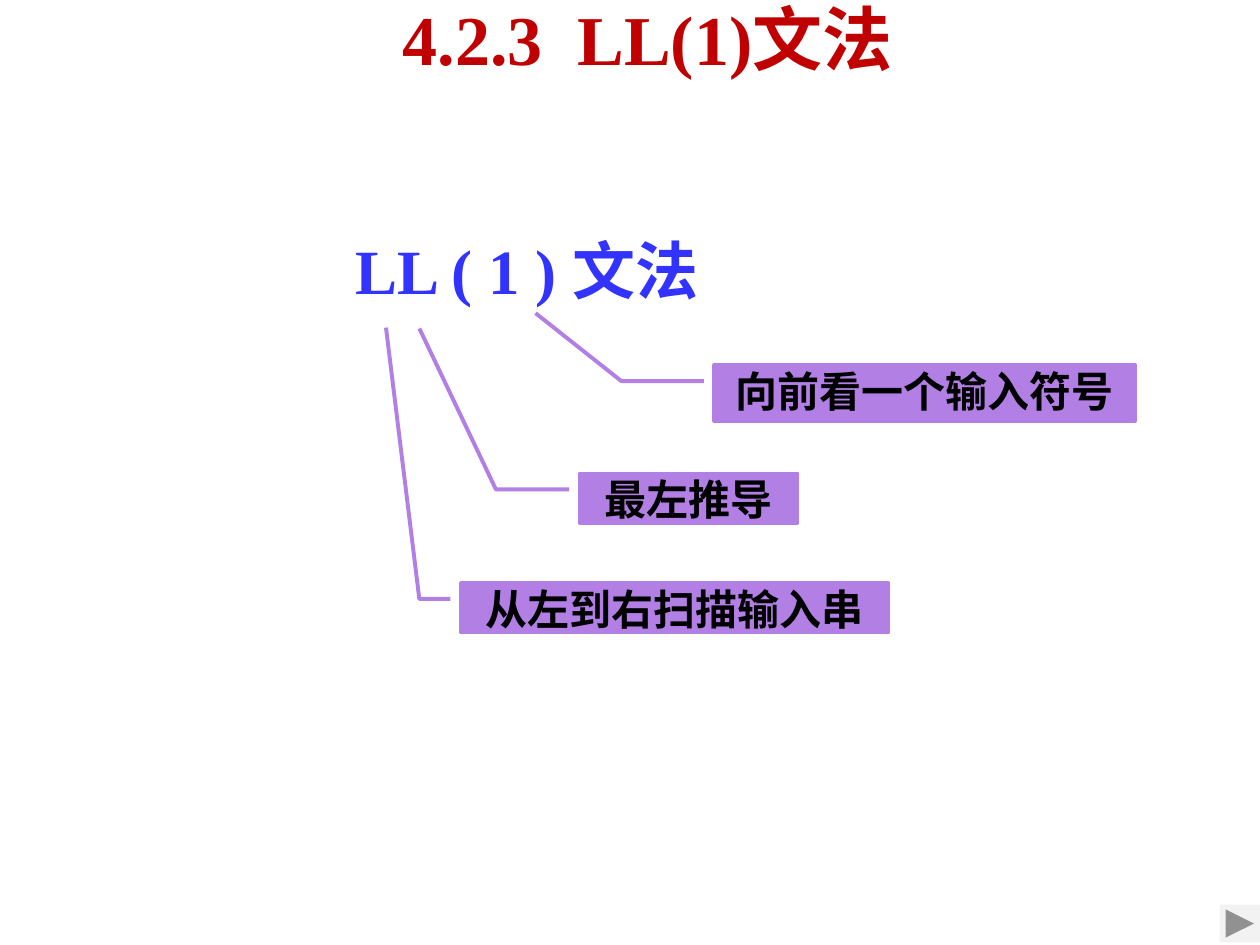
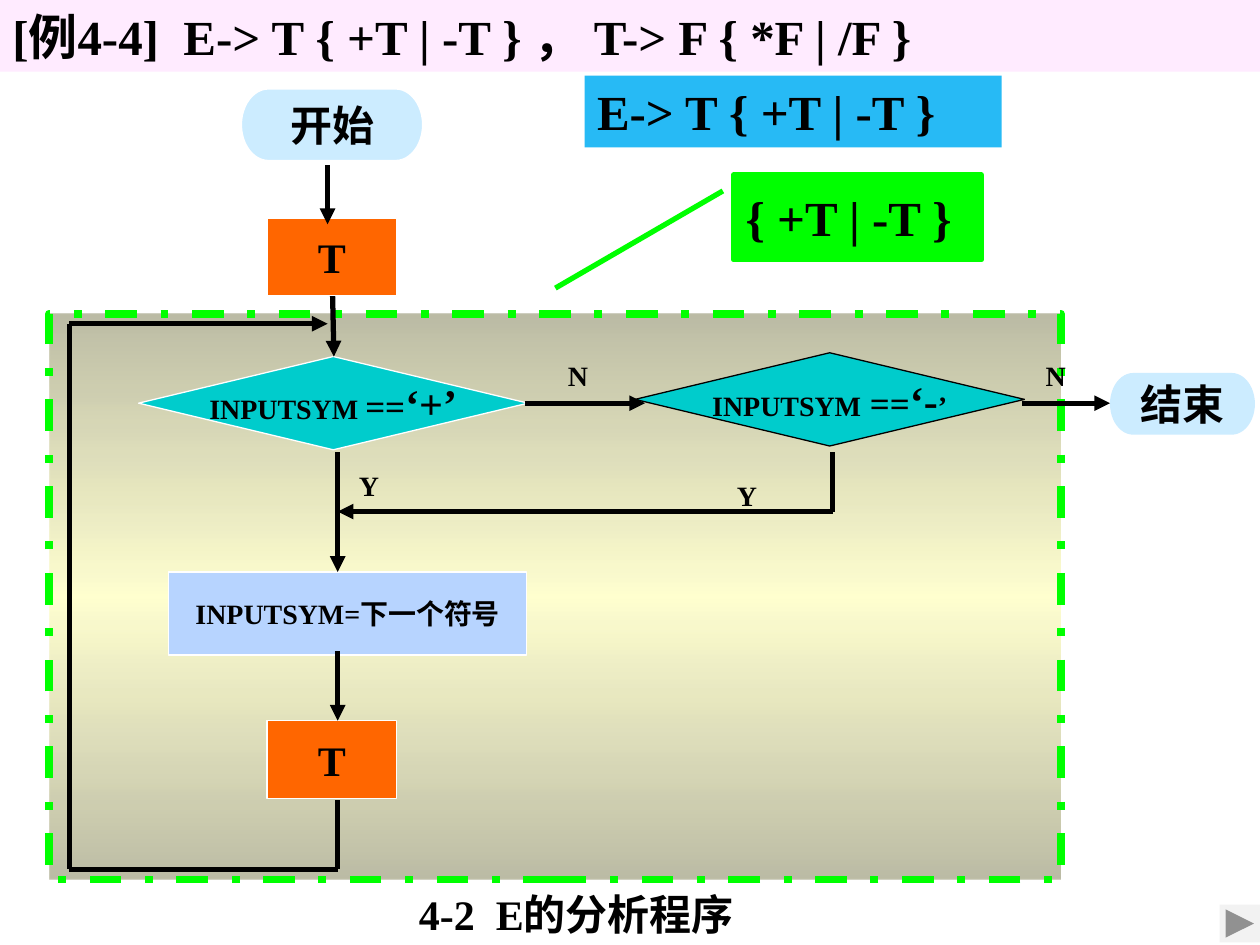
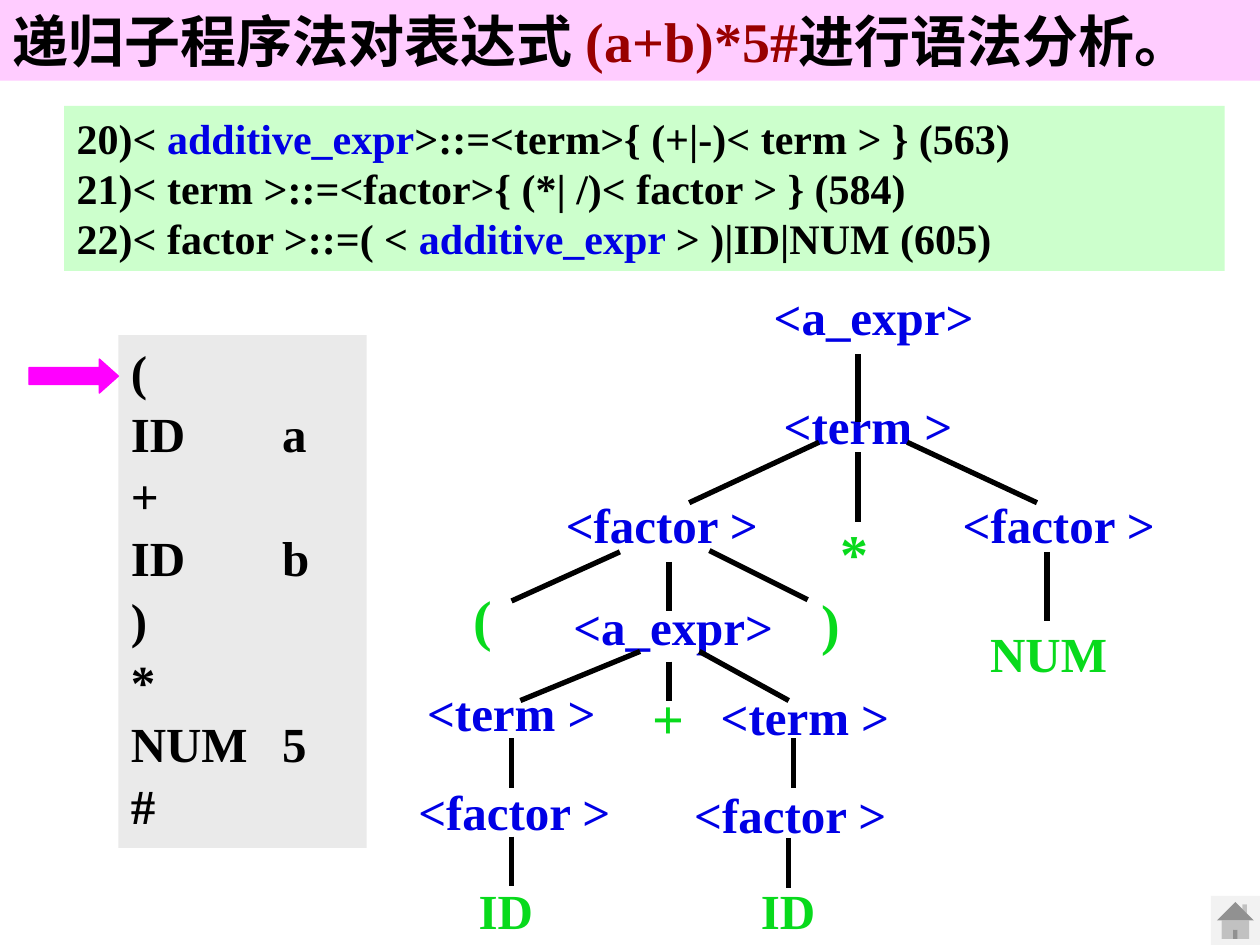
"""Build three slides on LL(1) grammars and recursive descent parsing."""
import lxml.etree
import pptx
import pptx.dml.color
import pptx.enum.dml
import pptx.enum.shapes
import pptx.enum.text
import pptx.oxml.ns
import pptx.util

Inches = pptx.util.Inches
Pt = pptx.util.Pt
SHAPE = pptx.enum.shapes.MSO_SHAPE
ALIGN = pptx.enum.text.PP_ALIGN
ANCHOR = pptx.enum.text.MSO_ANCHOR
DASH = pptx.enum.dml.MSO_LINE
qn = pptx.oxml.ns.qn

LATIN = "Times New Roman"
HAN = "Noto Sans CJK SC"
COLORS = {
    "black": "000000", "white": "FFFFFF", "title": "C00000", "heading": "3333FF",
    "callout": "B27FE5", "button": "F2F2F2", "band": "FFEBFF", "strong band": "FFCCFF",
    "terminal": "CCECFF", "process": "FF6600", "decision": "00CCCC", "input": "B7D4FF",
    "rule": "27BAF5", "loop": "00FF00", "loop edge": "767647", "loop middle": "FFFF99",
    "expression": "990000", "symbol": "0000E5", "token": "08DA1C",
    "tokens": "EAEAEA", "rules": "CCFFCC", "pointer": "FF00FF",
}
FRAME = {"margin_left": Inches(0.1), "margin_right": Inches(0.1), "margin_top": Inches(0.05),
         "margin_bottom": Inches(0.05), "word_wrap": True, "vertical_anchor": ANCHOR.TOP}
TIGHT = {"margin_top": 0, "margin_bottom": 0}
MIDDLE = {"vertical_anchor": ANCHOR.MIDDLE, "word_wrap": False}
NO_MARGIN = {**MIDDLE, **TIGHT, "margin_left": 0, "margin_right": 0}
CENTER = {"alignment": ALIGN.CENTER}


def color(name):
    """Return the named colour as an RGB value."""
    return pptx.dml.color.RGBColor.from_string(COLORS[name])


def assign(target, values):
    """Set each attribute in values on target."""
    for name, value in values.items():
        setattr(target, name, value)


def add_span(para, text, size, ink, font):
    """Add one bold run with Latin and East Asian fonts."""
    span = para.add_run()
    span.text = text
    assign(span.font, {"size": Pt(size), "bold": True, "name": font})
    span.font.color.rgb = color(ink)
    lxml.etree.SubElement(span.font._element, qn("a:ea"), typeface=HAN)


def write(box, lines, size=24, ink="black", font=LATIN, frame=None, layout=None):
    """Fill a box with lines, each a string or a list of (text, overrides)."""
    assign(box.text_frame, {**FRAME, **(frame or {})})
    for index, line in enumerate(lines):
        para = box.text_frame.add_paragraph() if index else box.text_frame.paragraphs[0]
        assign(para, {"alignment": ALIGN.LEFT, **(layout or {})})
        spans = [(line, {})] if isinstance(line, str) else line
        for text, changes in spans:
            add_span(para, text, **{"size": size, "ink": ink, "font": font, **changes})


def add_text(page, place, lines, **style):
    """Add a text box."""
    box = page.shapes.add_textbox(*map(Inches, place))
    write(box, lines, **style)
    return box


def add_box(page, kind, place, fill, line=None, weight=0.75, adjust=(), lines=(), **style):
    """Add a flat preset shape with optional outline and text."""
    box = page.shapes.add_shape(kind, *map(Inches, place))
    box.shadow.inherit = False
    box.fill.solid()
    box.fill.fore_color.rgb = color(fill)
    if line:
        box.line.color.rgb = color(line)
        box.line.width = Pt(weight)
    else:
        box.line.fill.background()
    for index, value in enumerate(adjust):
        box.adjustments[index] = value
    write(box, lines, **style)
    return box


def add_line(page, x1, y1, x2, y2, arrow=False):
    """Add a black line, with an arrowhead at its end on request."""
    line = page.shapes.add_connector(
        pptx.enum.shapes.MSO_CONNECTOR.STRAIGHT, *map(Inches, (x1, y1, x2, y2)))
    line.line.color.rgb = color("black")
    line.line.width = Pt(3)
    if arrow:
        lxml.etree.SubElement(line.line._get_or_add_ln(), qn("a:tailEnd"), type="triangle")
    lxml.etree.SubElement(line._element.spPr, qn("a:effectLst"))


def add_next_button(page):
    """Add the forward button in the corner."""
    add_box(page, SHAPE.ACTION_BUTTON_FORWARD_OR_NEXT, (9.68, 7.18, 0.32, 0.3), "button")


def add_band(page, height, fill, line, **style):
    """Add the full-width heading band."""
    add_box(page, SHAPE.RECTANGLE, (0, 0, 10, height), fill, lines=[line], **style)


def add_loop_area(page):
    """Add the dashed loop area with its translucent gradient."""
    area = add_box(page, SHAPE.RECTANGLE, (0.39, 2.49, 8.03, 4.49), "loop middle", "loop", 4.5)
    area.line.dash_style = DASH.DASH_DOT
    area.fill.gradient()
    area.fill.gradient_angle = 270
    stops = area._element.spPr.find(qn("a:gradFill")).find(qn("a:gsLst"))
    for stop in list(stops):
        stops.remove(stop)
    for place, name, alpha in ((0, "loop edge", 49), (50, "loop middle", 46),
                               (100, "loop edge", 49)):
        stop = lxml.etree.SubElement(stops, qn("a:gs"), pos=str(place * 1000))
        tint = lxml.etree.SubElement(stop, qn("a:srgbClr"), val=COLORS[name])
        lxml.etree.SubElement(tint, qn("a:alpha"), val=str(alpha * 1000))


def add_decision(page, left, top, line, spans):
    """Add a flowchart decision."""
    add_box(page, SHAPE.FLOWCHART_DECISION, (left, top, 3.09, 0.74), "decision", line,
            lines=[spans], size=16, frame=NO_MARGIN, layout=CENTER)


def add_node(page, text, left, top, width):
    """Add a parse tree node, coloured by whether it is a symbol or a token."""
    is_symbol = text.startswith("<")
    add_text(page, (left, top, width, 0.58), [text], size=28 if len(text) > 1 else 32,
             ink="symbol" if is_symbol else "token", layout={"line_spacing": 1.1},
             frame={"margin_left": Inches(0.2 if is_symbol else 0.1)})


def build_grammar(page):
    """Explain the parts of the name LL(1)."""
    add_text(page, (2.72, 1.79, 3.62, 0.87), ["LL ( 1 ) 文法"], size=36, ink="heading")
    for text, place, adjust in (
            ("向前看一个输入符号", (5.67, 2.9, 3.34, 0.44),
             (0.285, -0.025, 0.285, -0.221, -0.941, -0.425)),
            ("最左推导", (4.6, 3.76, 1.73, 0.39),
             (0.317, -0.048, 0.317, -0.384, -2.956, -0.735)),
            ("从左到右扫描输入串", (3.66, 4.63, 3.39, 0.39),
             (0.317, -0.025, 0.317, -0.098, -5.203, -0.176))):
        add_box(page, SHAPE.LINE_CALLOUT_2, place, "callout", "callout", 2.25, adjust,
                [text], font=HAN, frame=TIGHT, layout=CENTER)
    add_text(page, (0.59, 0, 9.1, 0.6), ["4.2.3  LL(1)文法"], size=40, ink="title",
             frame={"vertical_anchor": ANCHOR.MIDDLE}, layout=CENTER)
    add_next_button(page)


def build_flowchart(page):
    """Draw the flowchart of the routine for E."""
    add_loop_area(page)
    add_decision(page, 1.1, 2.83, "white",
                 [("INPUTSYM ", {}), ("==", {"size": 20}), ("‘+’", {"size": 24})])
    add_decision(page, 5.04, 2.8, "black",
                 [("INPUTSYM", {}), (" ==", {"size": 20}), ("‘-", {"size": 24}), ("’", {})])
    add_box(page, SHAPE.FLOWCHART_TERMINATOR, (1.89, 0.68, 1.49, 0.62), "terminal", "white",
            4.5, lines=["开始"], frame=MIDDLE, layout=CENTER)
    add_box(page, SHAPE.FLOWCHART_TERMINATOR, (8.81, 2.96, 1.15, 0.49), "terminal",
            lines=["结束"], frame=MIDDLE, layout=CENTER)
    for top in (1.73, 5.72):
        add_box(page, SHAPE.RECTANGLE, (2.12, top, 1.03, 0.62), "process", "white",
                lines=["T"], frame=MIDDLE, layout=CENTER)
    add_box(page, SHAPE.RECTANGLE, (1.34, 4.54, 2.84, 0.66), "input", "white",
            lines=["INPUTSYM=下一个符号"], size=16, frame=NO_MARGIN, layout=CENTER)
    for ends in ((2.64, 2.35, 2.65, 2.83), (2.68, 3.59, 2.68, 4.54), (4.17, 3.2, 5.12, 3.2),
                 (6.61, 4.06, 2.68, 4.06), (2.68, 5.17, 2.68, 5.72), (2.6, 1.31, 2.6, 1.78),
                 (0.55, 2.57, 2.6, 2.57), (8.11, 3.2, 8.81, 3.2)):
        add_line(page, *ends, arrow=True)
    for ends in ((6.61, 3.59, 6.61, 4.06), (2.68, 6.35, 2.68, 6.9),
                 (0.55, 2.57, 0.55, 6.9), (0.55, 6.9, 2.68, 6.9)):
        add_line(page, *ends)
    for answer, left, top in (("Y", 2.75, 3.67), ("Y", 5.75, 3.75),
                              ("N", 4.41, 2.8), ("N", 8.2, 2.8)):
        add_text(page, (left, top, 0.5, 0.37), [answer], size=16)
    add_box(page, SHAPE.RECTANGLE, (4.64, 0.6, 3.31, 0.57), "rule",
            lines=["E-> T { +T | -T }"], size=28)
    add_box(page, SHAPE.LINE_CALLOUT_1, (5.82, 1.39, 1.97, 0.67), "loop", "loop", 3,
            (0.188, -0.042, 1.339, -0.717), ["{ +T | -T }"], size=28,
            layout={"line_spacing": 1.1})
    add_text(page, (2.45, 7, 4.25, 0.5), ["4-2  E的分析程序"], layout=CENTER)
    add_band(page, 0.57, "band", "[例4-4]  E-> T { +T | -T } ， T-> F { *F | /F }", size=28)
    add_next_button(page)


def add_token_list(page):
    """Add the input tokens, with their values at a tab stop."""
    box = add_box(page, SHAPE.RECTANGLE, (0.94, 2.66, 1.97, 4.07), "tokens",
                  lines=["(", "ID\ta", "+", "ID\tb", ")", "*", "NUM\t5", "#"], size=28,
                  layout={"space_before": Pt(1.8)})
    for para in box.text_frame.paragraphs:
        stops = lxml.etree.SubElement(para._element.get_or_add_pPr(), qn("a:tabLst"))
        lxml.etree.SubElement(stops, qn("a:tab"), pos=str(Inches(1.2)), algn="l")


def build_parse_tree(page):
    """Show the rules, the tokens and the parse tree of one expression."""
    add_band(page, 0.64, "strong band",
             [("递归子程序法对表达式 ", {}),
              ("(a+b)*5#", {"ink": "expression", "font": LATIN}),
              ("进行语法分析。", {})], size=32, font=HAN)
    add_token_list(page)
    for node in (("<a_expr>", 5.94, 2.18, 2.05), ("<term >", 6.02, 3.04, 1.89),
                 ("<factor >", 4.29, 3.83, 2.05), ("*", 6.57, 4.01, 0.55),
                 ("<factor >", 7.44, 3.83, 2.05), ("NUM", 7.76, 4.85, 1.26),
                 ("(", 3.66, 4.54, 0.47), ("<a_expr>", 4.35, 4.64, 1.93),
                 (")", 6.42, 4.57, 0.47), ("<term >", 3.19, 5.32, 1.73),
                 ("+", 5.08, 5.32, 0.47), ("<term >", 5.52, 5.35, 1.73),
                 ("<factor >", 3.12, 6.11, 2.05), ("<factor >", 5.31, 6.13, 1.97),
                 ("ID", 3.7, 6.89, 0.79), ("ID", 5.94, 6.89, 0.71)):
        add_node(page, *node)
    for branch in ((6.81, 2.81, 6.81, 3.35), (6.5, 3.51, 5.47, 3.99), (6.81, 3.59, 6.81, 4.14),
                   (7.2, 3.51, 8.23, 3.99), (4.92, 4.38, 4.06, 4.77), (5.31, 4.46, 5.31, 4.85),
                   (5.63, 4.37, 6.41, 4.76), (8.31, 4.38, 8.31, 4.93), (5.08, 5.17, 4.13, 5.56),
                   (5.31, 5.25, 5.31, 5.56), (5.55, 5.17, 6.26, 5.56), (4.06, 5.86, 4.06, 6.25),
                   (6.3, 5.86, 6.3, 6.25), (4.06, 6.64, 4.06, 7.03), (6.26, 6.65, 6.26, 7.05)):
        add_line(page, *branch)
    add_box(page, SHAPE.RIGHT_ARROW, (0.23, 2.85, 0.71, 0.27), "pointer", "pointer",
            adjust=(0.495, 0.559))
    symbol = {"ink": "symbol"}
    add_box(page, SHAPE.RECTANGLE, (0.51, 0.84, 9.21, 1.31), "rules", lines=[
        [("20)< ", {}), ("additive_expr", symbol), (">::=<term>{ (+|-)< term > } (563)", {})],
        "21)< term >::=<factor>{ (*| /)< factor > } (584)",
        [("22)< factor >::=( < ", {}), ("additive_expr ", symbol), ("> )|ID|NUM (605)", {})]])
    add_box(page, SHAPE.ACTION_BUTTON_HOME, (9.61, 7.11, 0.39, 0.39), "button")


def main():
    """Build and save the deck."""
    deck = pptx.Presentation()
    assign(deck, {"slide_width": Inches(10), "slide_height": Inches(7.5)})
    for build in (build_grammar, build_flowchart, build_parse_tree):
        build(deck.slides.add_slide(deck.slide_layouts[6]))
    deck.save("out.pptx")


if __name__ == "__main__":
    main()
